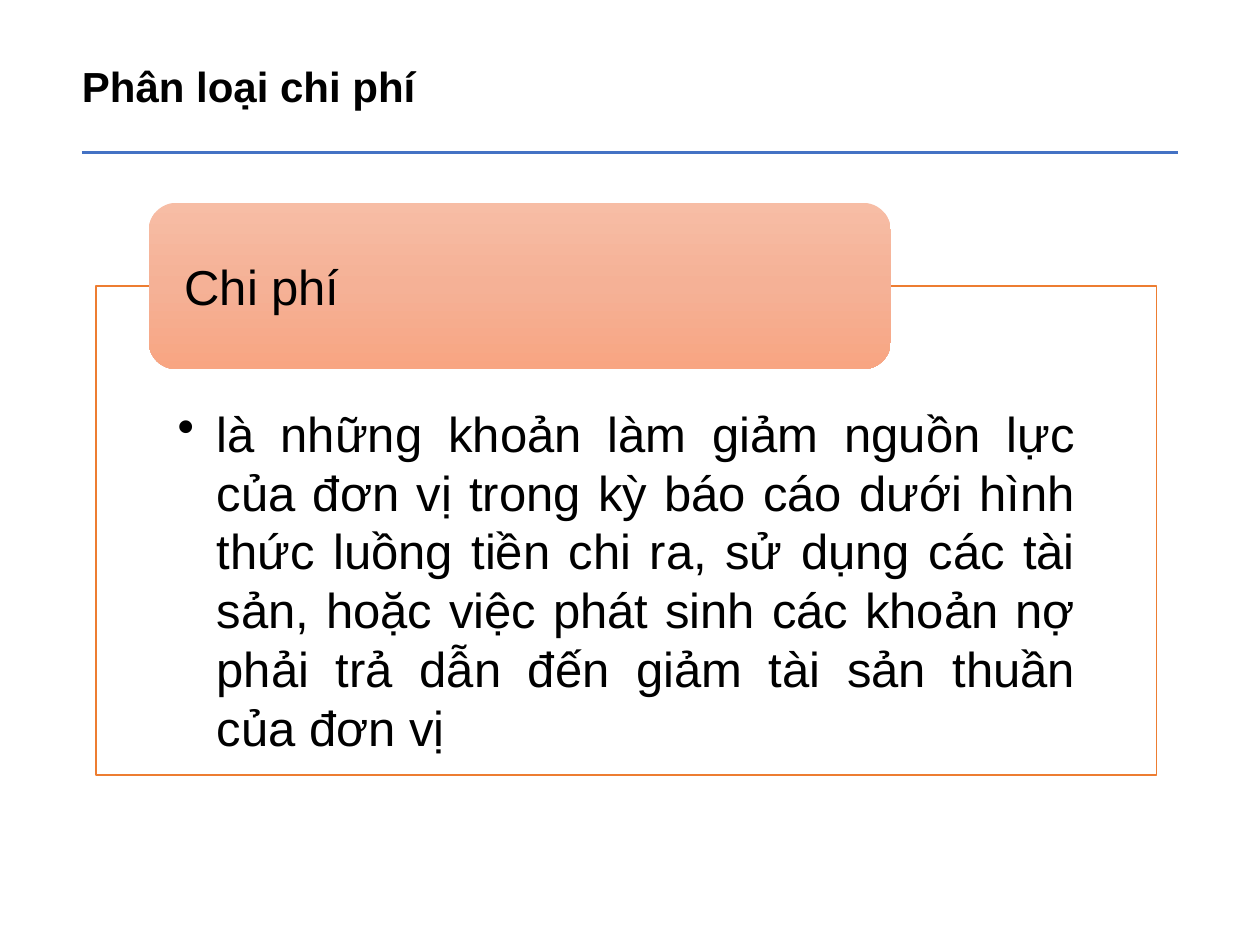
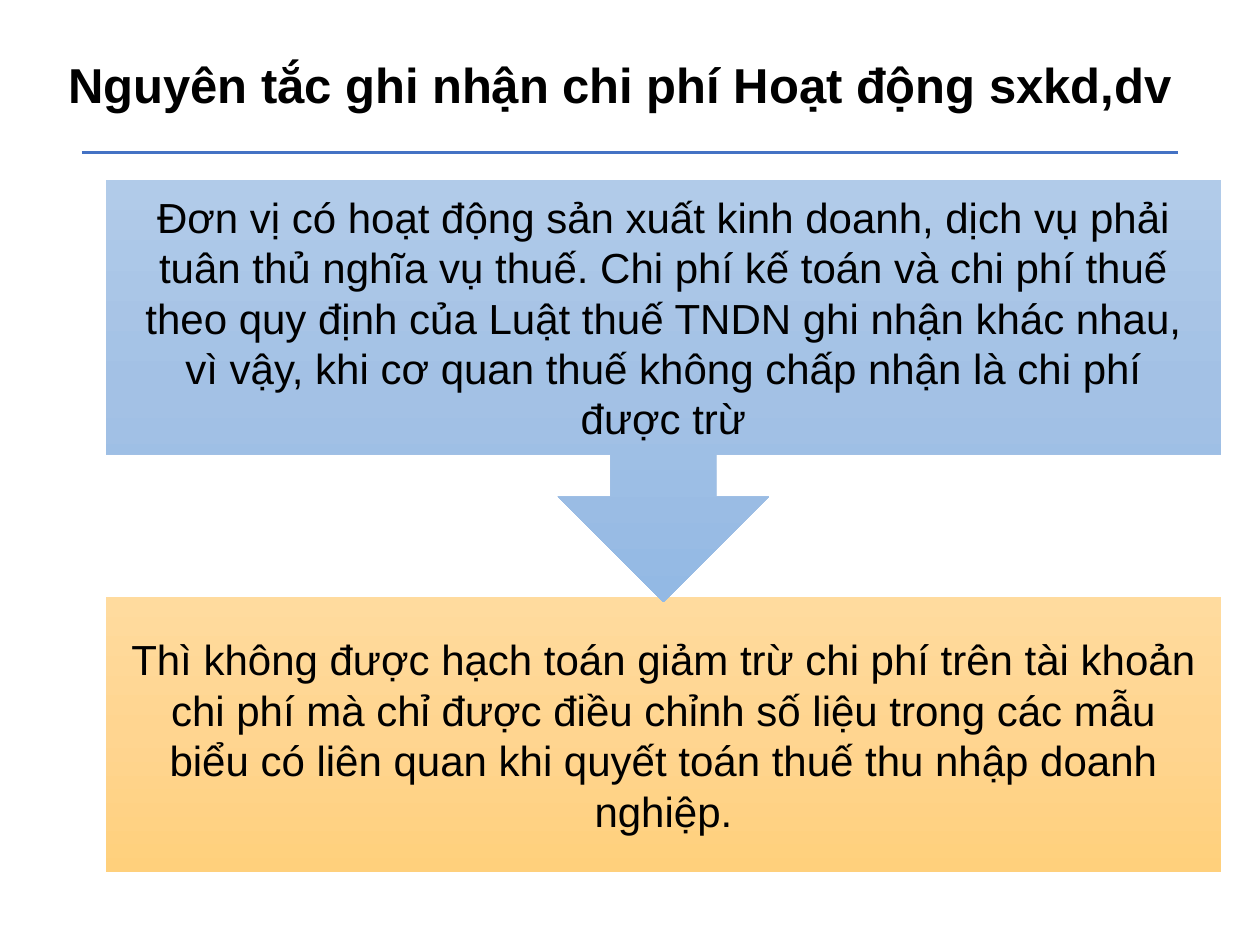
from copy import deepcopy

from lxml import etree
from pptx import Presentation
from pptx.dml.color import RGBColor
from pptx.enum.shapes import MSO_CONNECTOR as Connector, MSO_SHAPE as Shape
from pptx.enum.text import MSO_ANCHOR as Anchor, MSO_AUTO_SIZE as AutoSize, PP_ALIGN as Align
from pptx.oxml.ns import qn
from pptx.util import Inches, Pt

# Content
EXPENSE = {
    "title": "Phân loại chi phí",
    "term": "Chi phí",
    "definition": "là những khoản làm giảm nguồn lực của đơn vị trong kỳ báo cáo dưới hình thức "
                  "luồng tiền chi ra, sử dụng các tài sản, hoặc việc phát sinh các khoản nợ phải "
                  "trả dẫn đến giảm tài sản thuần của đơn vị",
}
PRINCIPLE = {
    "title": "Nguyên tắc ghi nhận chi phí Hoạt động sxkd,dv",
    "condition": "Đơn vị có hoạt động sản xuất kinh doanh, dịch vụ phải tuân thủ nghĩa vụ thuế. "
                 "Chi phí kế toán và chi phí thuế theo quy định của Luật thuế TNDN ghi nhận khác "
                 "nhau, vì vậy, khi cơ quan thuế không chấp nhận là chi phí được trừ",
    "result": "Thì không được hạch toán giảm trừ chi phí trên tài khoản chi phí mà chỉ được điều "
              "chỉnh số liệu trong các mẫu biểu có liên quan khi quyết toán thuế thu nhập doanh "
              "nghiệp.",
}

# Shared look
SLIDE_SIZE = (10, 7.5)
RULE_LEFT, RULE_RIGHT, RULE_TOP = 0.65, 9.35, 1.21
FONT, BLACK, WHITE, BLUE, ORANGE = "Arial", "000000", "FFFFFF", "4472C4", "ED7D31"
PEACH_FADE = ("F7BDA5", "F5B196", "F8A582")
BLUE_FADE = ("B1CBE9", "A3C1E5", "93B9E4")
AMBER_FADE = ("FFDB9E", "FFD590", "FFD07C")

# Placement: left, top, width, height
DEFINITION_BOX = (0.76, 2.27, 8.42, 3.88)
TERM_BOX = (1.18, 1.61, 5.89, 1.32)
STEP_LEFT, STEP_WIDTH = 0.84, 8.85
CONDITION_BOX = (STEP_LEFT, 1.43, STEP_WIDTH, 3.35)
RESULT_BOX = (STEP_LEFT, 4.74, STEP_WIDTH, 2.18)
STEP_INSETS = (0.19,) * 4


def color(hex_code):
    return RGBColor.from_string(hex_code)


def set_text(shape, text, size, align, anchor, insets=(0.1, 0.05, 0.1, 0.05),
             bold=False, wrap=True, bullet_indent=None):
    frame = shape.text_frame
    left, top, right, bottom = map(Inches, insets)
    frame_format = {"auto_size": AutoSize.NONE, "word_wrap": wrap, "vertical_anchor": anchor,
                    "margin_left": left, "margin_top": top,
                    "margin_right": right, "margin_bottom": bottom}
    for name, value in frame_format.items():
        setattr(frame, name, value)
    para = frame.paragraphs[0]
    para.alignment = align
    if bullet_indent:
        para.level = 1
        properties = para._p.get_or_add_pPr()
        properties.set("marL", str(Inches(bullet_indent)))
        properties.set("indent", str(-Inches(bullet_indent)))
        etree.SubElement(properties, qn("a:buChar"), char="•")
    span = para.add_run()
    span.text = text
    for name, value in {"name": FONT, "size": Pt(size), "bold": bold}.items():
        setattr(span.font, name, value)
    span.font.color.rgb = color(BLACK)


def add_box(slide, kind, place, fade=None):
    """Add a borderless box with a three-colour fade, or a white box with an orange border."""
    box = slide.shapes.add_shape(kind, *map(Inches, place))
    box.shadow.inherit = False
    if fade is None:
        box.fill.solid()
        box.fill.fore_color.rgb = color(WHITE)
        box.line.color.rgb = color(ORANGE)
        box.line.width = Pt(1)
        return box
    box.line.fill.background()
    box.fill.gradient()
    box.fill.gradient_angle = 270
    stop_list = box._element.spPr.find(qn("a:gradFill")).find(qn("a:gsLst"))
    stop_list.insert(1, deepcopy(stop_list[0]))
    for stop, position, hex_code in zip(box.fill.gradient_stops, (0, 0.5, 1), fade):
        stop.position = position
        stop.color.rgb = color(hex_code)
    return box


def add_page(deck, title, place, size, wrap=True):
    """Add a slide with its title and the blue rule below it."""
    page = deck.slides.add_slide(deck.slide_layouts[5])
    heading = page.shapes.title
    heading.left, heading.top, heading.width, heading.height = map(Inches, place)
    set_text(heading, title, size, Align.LEFT, Anchor.TOP, bold=True, wrap=wrap)
    ends = map(Inches, (RULE_LEFT, RULE_TOP, RULE_RIGHT, RULE_TOP))
    rule = page.shapes.add_connector(Connector.STRAIGHT, *ends)
    rule.line.color.rgb = color(BLUE)
    rule.line.width = Pt(1.5)
    etree.SubElement(rule._element.spPr, qn("a:effectLst"))
    return page


def build_expense(deck):
    page = add_page(deck, EXPENSE["title"], (0.55, 0.43, 2.87, 0.5), 24, wrap=False)
    definition = add_box(page, Shape.RECTANGLE, DEFINITION_BOX)
    set_text(definition, EXPENSE["definition"], 28, Align.JUSTIFY, Anchor.TOP,
             (0.65, 0.93, 0.65, 0.22), bullet_indent=0.31)
    term = add_box(page, Shape.ROUNDED_RECTANGLE, TERM_BOX, PEACH_FADE)
    set_text(term, EXPENSE["term"], 28, Align.JUSTIFY, Anchor.MIDDLE, (0.22, 0, 0.22, 0))


def build_principle(deck):
    page = add_page(deck, PRINCIPLE["title"], (0.44, 0.38, 9.36, 1.04), 28)
    # The arrow tip overlaps the result, so the result comes first
    steps = [("result", Shape.RECTANGLE, RESULT_BOX, AMBER_FADE),
             ("condition", Shape.DOWN_ARROW_CALLOUT, CONDITION_BOX, BLUE_FADE)]
    for name, kind, place, fade in steps:
        step = add_box(page, kind, place, fade)
        set_text(step, PRINCIPLE[name], 24, Align.CENTER, Anchor.MIDDLE, STEP_INSETS)


def main():
    deck = Presentation()
    deck.slide_width, deck.slide_height = map(Inches, SLIDE_SIZE)
    build_expense(deck)
    build_principle(deck)
    deck.save("out.pptx")


if __name__ == "__main__":
    main()
